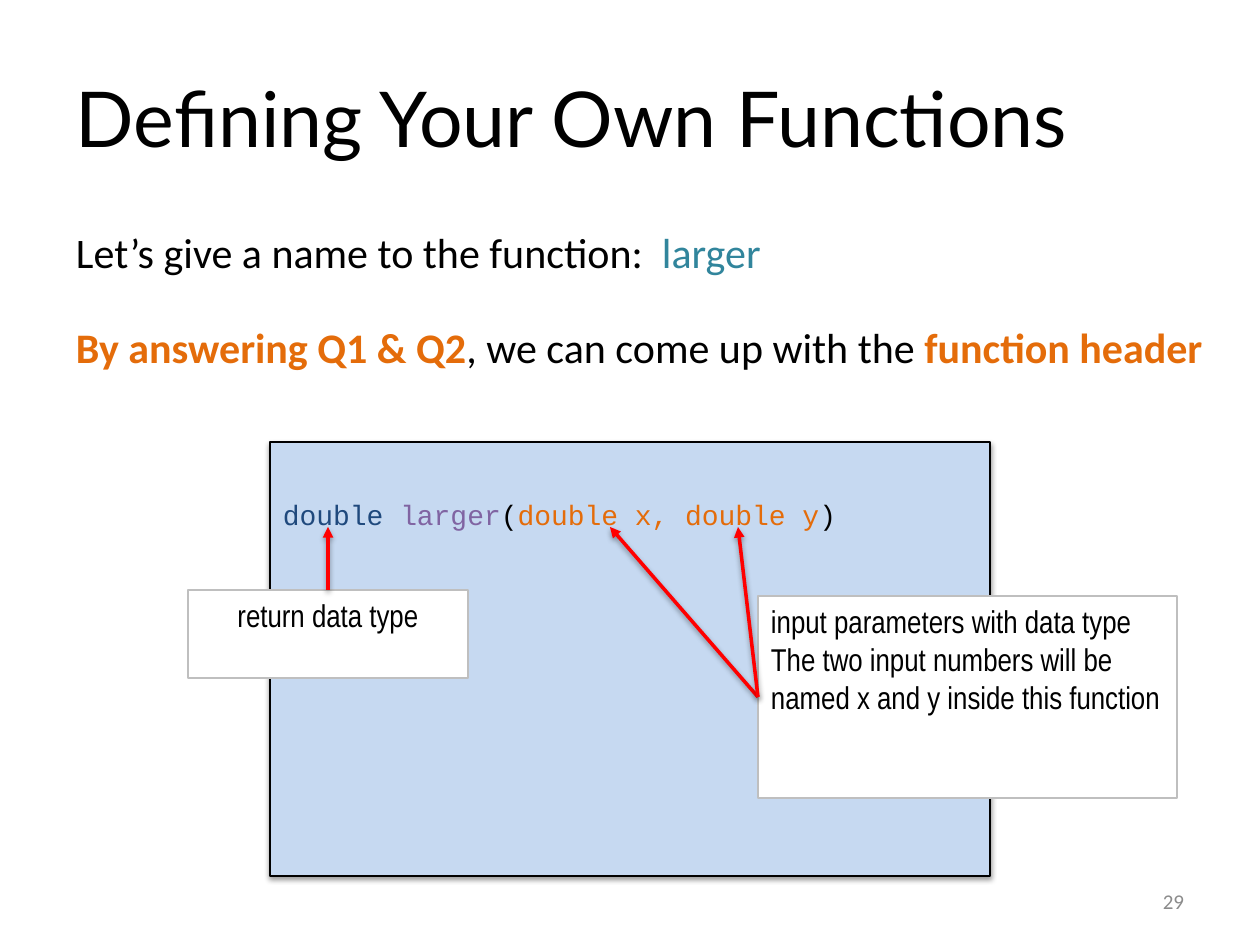
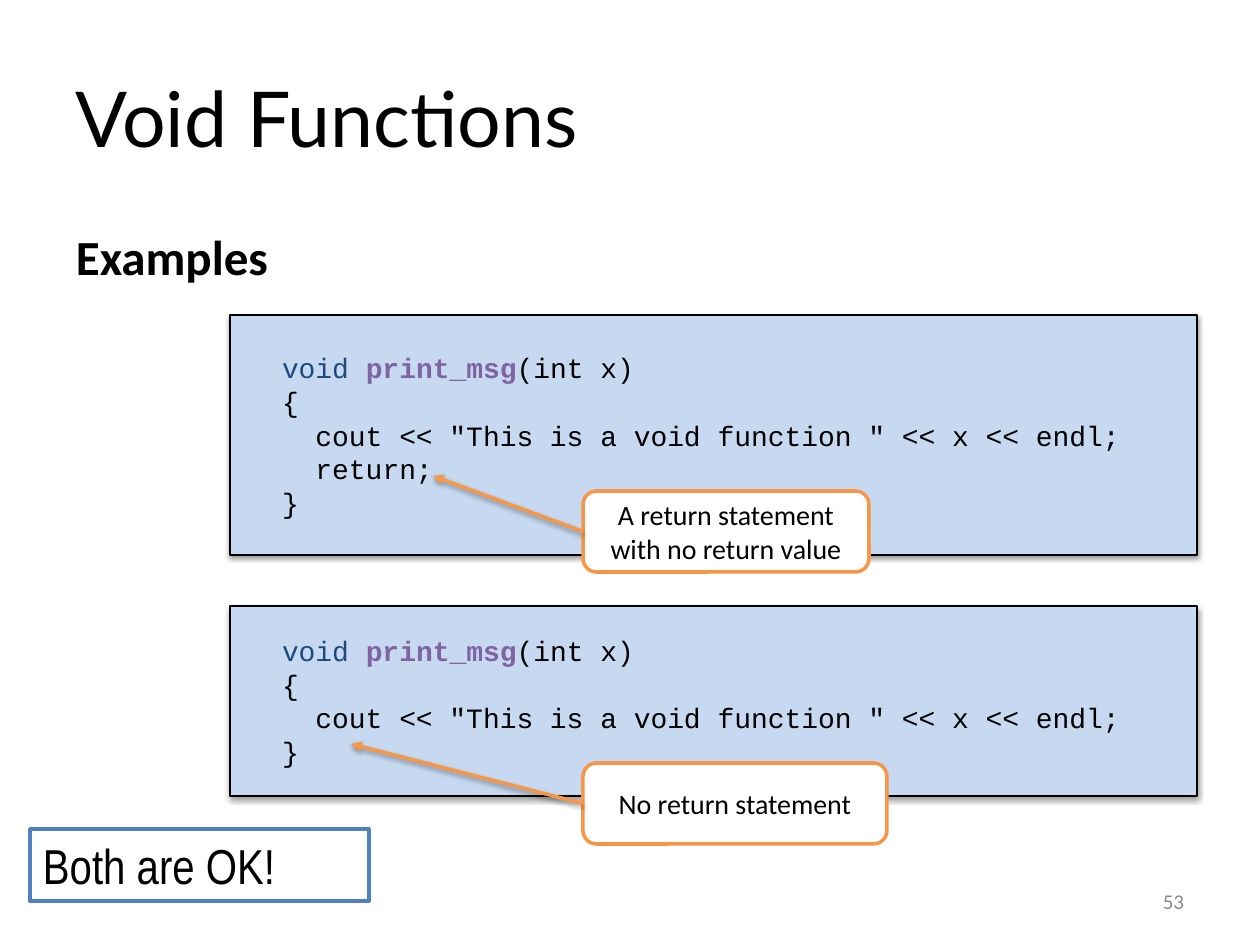
from lxml import etree
from pptx import Presentation
from pptx.dml.color import RGBColor
from pptx.enum.shapes import MSO_CONNECTOR, MSO_SHAPE
from pptx.enum.text import MSO_ANCHOR, PP_ALIGN
from pptx.oxml.ns import qn
from pptx.util import Emu, Pt

RECT, ROUNDED = MSO_SHAPE.RECTANGLE, MSO_SHAPE.ROUNDED_RECTANGLE
STRAIGHT = MSO_CONNECTOR.STRAIGHT
TOP, MIDDLE = MSO_ANCHOR.TOP, MSO_ANCHOR.MIDDLE
LEFT, CENTER, RIGHT = PP_ALIGN.LEFT, PP_ALIGN.CENTER, PP_ALIGN.RIGHT
TOP_SIDE, LEFT_SIDE = 0, 1

PX_PER_INCH = 126
COLORS = {
    "text": "000000", "paper": "FFFFFF", "number": "8B8B8B",
    "code_fill": "C6D9F1", "keyword": "1F497D", "name": "8064A2",
    "teal": "31859C", "orange": "E46C0A", "callout": "F79646",
    "red": "FF0000", "note_line": "BFBFBF", "blue": "4F81BD",
}
TITLE_BOX = (63, 38, 1134, 157)
BODY_BOX = (63, 220, 1197, 624)
NUMBER_BOX = (903, 876, 294, 50)
INSET_X, INSET_Y = 13, 6


def px(length):
    return Emu(round(length * 914400 / PX_PER_INCH))


def rgb(color):
    return RGBColor.from_string(COLORS[color])


def write(shape, paragraphs, font, size, color="text", bold=False, align=LEFT,
          anchor=TOP, wrap=True, inset_left=INSET_X, inset_top=INSET_Y,
          space=0, tab=None):
    """Fill a shape; a paragraph is a string or a list of (text, color, bold)."""
    frame = shape.text_frame
    frame.word_wrap = wrap
    frame.vertical_anchor = anchor
    frame.margin_left, frame.margin_right = px(inset_left), px(INSET_X)
    frame.margin_top, frame.margin_bottom = px(inset_top), px(INSET_Y)
    for index, content in enumerate(paragraphs):
        paragraph = frame.add_paragraph() if index else frame.paragraphs[0]
        paragraph.alignment = align
        if index and space:
            paragraph.space_before = Pt(space)
        if tab and not index:
            tabs = etree.SubElement(paragraph._p.get_or_add_pPr(), qn("a:tabLst"))
            etree.SubElement(tabs, qn("a:tab"), pos=str(px(tab)), algn="l")
        paragraph.font.name = font
        paragraph.font.size = Pt(size)
        paragraph.font.bold = bold
        paragraph.font.color.rgb = rgb(color)
        if isinstance(content, str):
            content = [(content, color, bold)]
        for text, run_color, run_bold in content:
            run = paragraph.add_run()
            run.text = text
            if run_color != color:
                run.font.color.rgb = rgb(run_color)
            if run_bold != bold:
                run.font.bold = run_bold


def add_text(slide, box, paragraphs, font, size, **style):
    write(slide.shapes.add_textbox(*map(px, box)), paragraphs, font, size, **style)


def add_panel(slide, box, line, width, fill="paper", kind=RECT):
    panel = slide.shapes.add_shape(kind, *map(px, box))
    panel.fill.solid()
    panel.fill.fore_color.rgb = rgb(fill)
    panel.line.color.rgb = rgb(line)
    panel.line.width = Pt(width)
    panel.shadow.inherit = False
    return panel


def cast_shadow(item):
    properties = item._element.spPr
    effects = properties.find(qn("a:effectLst"))
    if effects is None:
        effects = etree.SubElement(properties, qn("a:effectLst"))
    shadow = etree.SubElement(effects, qn("a:outerShdw"), blurRad="40000",
                              dist="20000", dir="5400000", rotWithShape="0")
    black = etree.SubElement(shadow, qn("a:srgbClr"), val=COLORS["text"])
    etree.SubElement(black, qn("a:alpha"), val="38000")


def add_arrow(slide, callout, side, target, color):
    """Point from the middle of a callout's side to a place in the code."""
    x, y = map(px, target)
    arrow = slide.shapes.add_connector(STRAIGHT, x, y, x, y)
    arrow.begin_connect(callout, side)
    arrow.line.color.rgb = rgb(color)
    arrow.line.width = Pt(2)
    line = arrow._element.spPr.find(qn("a:ln"))
    etree.SubElement(line, qn("a:tailEnd"), type="triangle")
    cast_shadow(arrow)


def add_code(slide, box, lines, **style):
    panel = add_panel(slide, box, "text", 0.75, "code_fill")
    cast_shadow(panel)
    write(panel, lines, "Courier New", 16, **style)


def add_note(slide, box, paragraphs, targets, side, align=LEFT):
    note = add_panel(slide, box, "note_line", 0.75)
    write(note, paragraphs, "Arial Narrow", 18, align=align)
    for target in targets:
        add_arrow(slide, note, side, target, "red")


def add_callout(slide, box, text, target):
    callout = add_panel(slide, box, "callout", 2, kind=ROUNDED)
    write(callout, [text], "Calibri", 16, align=CENTER, anchor=MIDDLE)
    add_arrow(slide, callout, LEFT_SIDE, target, "callout")


def add_base(deck, title, number):
    slide = deck.slides.add_slide(deck.slide_layouts[6])
    add_text(slide, TITLE_BOX, [title], "Lato", 44, anchor=MIDDLE)
    add_text(slide, NUMBER_BOX, [number], "Calibri", 12, color="number",
             align=RIGHT, anchor=MIDDLE)
    return slide


def build_function_header(deck):
    slide = add_base(deck, "Defining Your Own Functions", "29")
    add_text(slide, BODY_BOX, [
        [("Let’s give a name to the function:\t", "text", False),
         ("larger", "teal", False)],
        [("By answering Q1 & Q2", "orange", True),
         (", we can come up with the ", "text", False),
         ("function header", "orange", True)],
    ], "Calibri", 24, space=26, tab=586)
    header = [("double ", "keyword", False), ("larger", "name", False),
              ("(", "text", False), ("double x, double y", "orange", False),
              (")", "text", False)]
    add_code(slide, (270, 442, 720, 434), [header], inset_top=56)
    add_note(slide, (758, 596, 419, 202), [
        "input parameters with data type",
        "The two input numbers will be named x and y inside this function",
    ], [(610, 527), (738, 527)], LEFT_SIDE)
    add_note(slide, (188, 590, 280, 88), ["return data type"], [(328, 527)],
             TOP_SIDE, CENTER)


def build_void_examples(deck):
    slide = add_base(deck, "Void Functions", "53")
    add_text(slide, BODY_BOX, ["Examples"], "Calibri", 28, bold=True)
    opening = [
        [("void ", "keyword", False), ("print_msg", "name", True),
         ("(int x)", "text", False)],
        "{",
        '  cout << "This is a void function " << x << endl;',
    ]
    examples = [
        ((230, 315, 967, 240), ["  return;"], (583, 491, 286, 81),
         "A return statement with no return value", (433, 476)),
        ((230, 606, 967, 190), [], (583, 763, 304, 81),
         "No return statement", (351, 744)),
    ]
    for code_box, ending, callout_box, remark, target in examples:
        add_code(slide, code_box, opening + ending + ["}"], anchor=MIDDLE,
                 inset_left=52)
        add_callout(slide, callout_box, remark, target)
    verdict = add_panel(slide, (30, 829, 339, 72), "blue", 2)
    write(verdict, ["Both are OK!"], "Arial Narrow", 28, wrap=False)


def main():
    deck = Presentation()
    deck.slide_width, deck.slide_height = px(1260), px(945)
    build_function_header(deck)
    build_void_examples(deck)
    deck.save("out.pptx")


if __name__ == "__main__":
    main()
